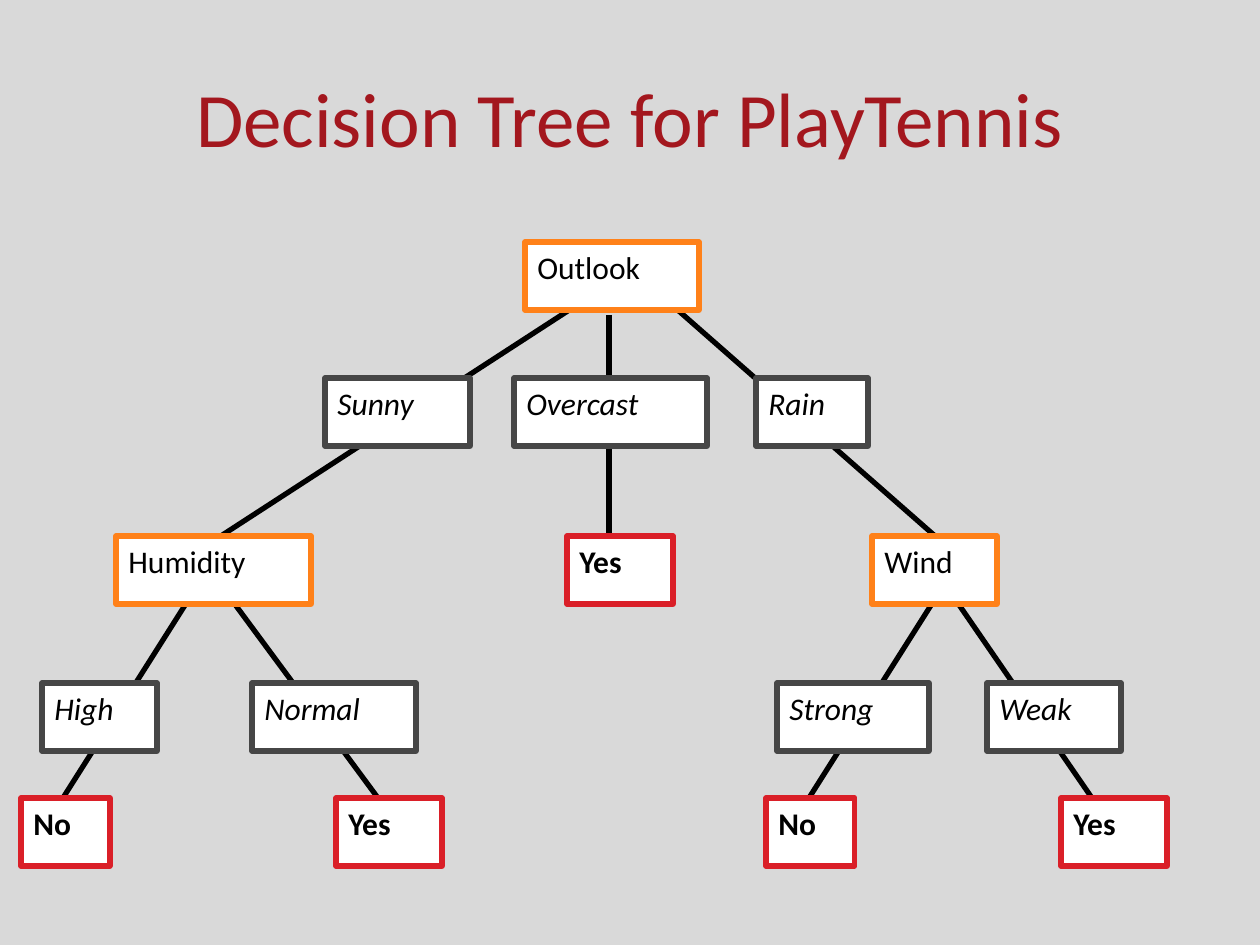
from dataclasses import dataclass
from pptx import Presentation
from pptx.dml.color import RGBColor
from pptx.enum.shapes import MSO_CONNECTOR, MSO_SHAPE
from pptx.enum.text import MSO_ANCHOR, MSO_AUTO_SIZE, PP_ALIGN
from pptx.oxml.ns import qn
from pptx.util import Emu, Pt
from lxml import etree

RECT, LINE = MSO_SHAPE.RECTANGLE, MSO_CONNECTOR.STRAIGHT
TOP, MIDDLE = MSO_ANCHOR.TOP, MSO_ANCHOR.MIDDLE
LEFT, CENTER = PP_ALIGN.LEFT, PP_ALIGN.CENTER
FIXED = MSO_AUTO_SIZE.NONE
SCALE = 914400 // 126
WIDE, HIGH = 1260, 945
BOX_HIGH = 68


@dataclass(frozen=True)
class Theme:
    """Colours, font and sizes of the slide."""
    back: str = "D9D9D9"
    title: str = "A3171E"
    ink: str = "000000"
    paper: str = "FFFFFF"
    test: str = "FF8119"
    branch: str = "464646"
    leaf: str = "DA1F28"
    font: str = "Calibri"
    big: int = 44
    small: int = 18
    line: int = 3


THEME = Theme()

# Kind of node: border colour, bold, italic
KINDS = {
    "test": (THEME.test, False, False),
    "branch": (THEME.branch, False, True),
    "leaf": (THEME.leaf, True, False),
}

# Level of the tree: top, kind and nodes as (text, left, width)
LEVELS = [
    (242, "test", [("Outlook", 525, 174)]),
    (378, "branch", [("Sunny", 325, 145), ("Overcast", 514, 193),
                     ("Rain", 756, 112)]),
    (536, "test", [("Humidity", 116, 195), ("Wind", 872, 125)]),
    (536, "leaf", [("Yes", 567, 106)]),
    (683, "branch", [("High", 42, 115), ("Normal", 252, 164),
                     ("Strong", 777, 152), ("Weak", 987, 134)]),
    (798, "leaf", [("No", 21, 89), ("Yes", 336, 106),
                   ("No", 766, 89), ("Yes", 1061, 106)]),
]

# Edges from test to test or leaf: start y, end y and (start x, end x)
EDGES = [
    (305, 536, [(577, 221), (672, 935)]),
    (599, 798, [(189, 63), (231, 378), (955, 1092), (935, 809)]),
    (315, 536, [(609, 609)]),
]


def px(*vals):
    """Turn pixels into EMU."""
    return [Emu(val * SCALE) for val in vals]


def rgb(code):
    """Make a colour from its hex code."""
    return RGBColor.from_string(code)


def add_run(para, text, size, color, bold=False, italic=False):
    """Add one formatted run to a paragraph."""
    run = para.add_run()
    run.text = text
    font = run.font
    font.name, font.size = THEME.font, Pt(size)
    font.bold, font.italic = bold, italic
    font.color.rgb = rgb(color)


def set_title(slide, text):
    """Place and fill the title placeholder."""
    title = slide.shapes.title
    title.left, title.top, title.width, title.height = px(63, 38, 1134, 157)
    frame = title.text_frame
    frame.vertical_anchor = MIDDLE
    para = frame.paragraphs[0]
    para.alignment = CENTER
    add_run(para, text, THEME.big, THEME.title)


def add_edge(slide, *ends):
    """Draw a plain line between two points."""
    edge = slide.shapes.add_connector(LINE, *px(*ends))
    edge.line.color.rgb = rgb(THEME.ink)
    edge.line.width = Pt(THEME.line)
    props = edge._element.find(qn("p:spPr"))
    etree.SubElement(props, qn("a:effectLst"))


def add_node(slide, kind, text, left, top, width):
    """Draw a tree node as a bordered box with text."""
    color, bold, italic = KINDS[kind]
    node = slide.shapes.add_shape(RECT, *px(left, top, width, BOX_HIGH))
    node.shadow.inherit = False
    node.fill.solid()
    node.fill.fore_color.rgb = rgb(THEME.paper)
    node.line.color.rgb = rgb(color)
    node.line.width = Pt(THEME.line)
    frame = node.text_frame
    frame.word_wrap = True
    frame.auto_size = FIXED
    frame.vertical_anchor = TOP
    para = frame.paragraphs[0]
    para.alignment = LEFT
    add_run(para, text, THEME.small, THEME.ink, bold, italic)


def main():
    """Build the slide and save it."""
    deck = Presentation()
    deck.slide_width, deck.slide_height = px(WIDE, HIGH)
    slide = deck.slides.add_slide(deck.slide_layouts.get_by_name("Title Only"))
    fill = slide.background.fill
    fill.solid()
    fill.fore_color.rgb = rgb(THEME.back)
    for start, end, pairs in EDGES:
        for x1, x2 in pairs:
            add_edge(slide, x1, start, x2, end)
    set_title(slide, "Decision Tree for PlayTennis")
    for top, kind, nodes in LEVELS:
        for text, left, width in nodes:
            add_node(slide, kind, text, left, top, width)
    deck.save("out.pptx")


main()
